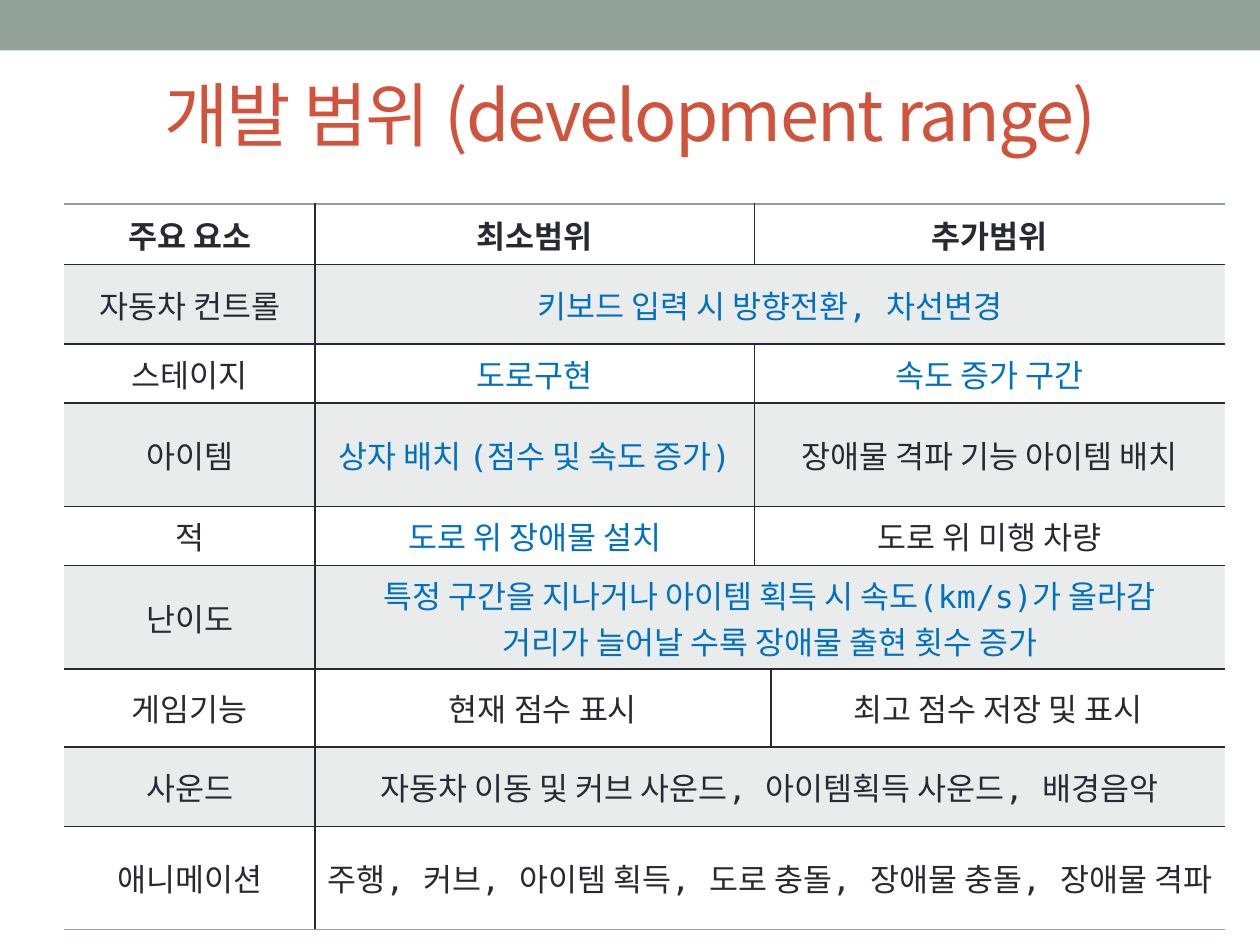
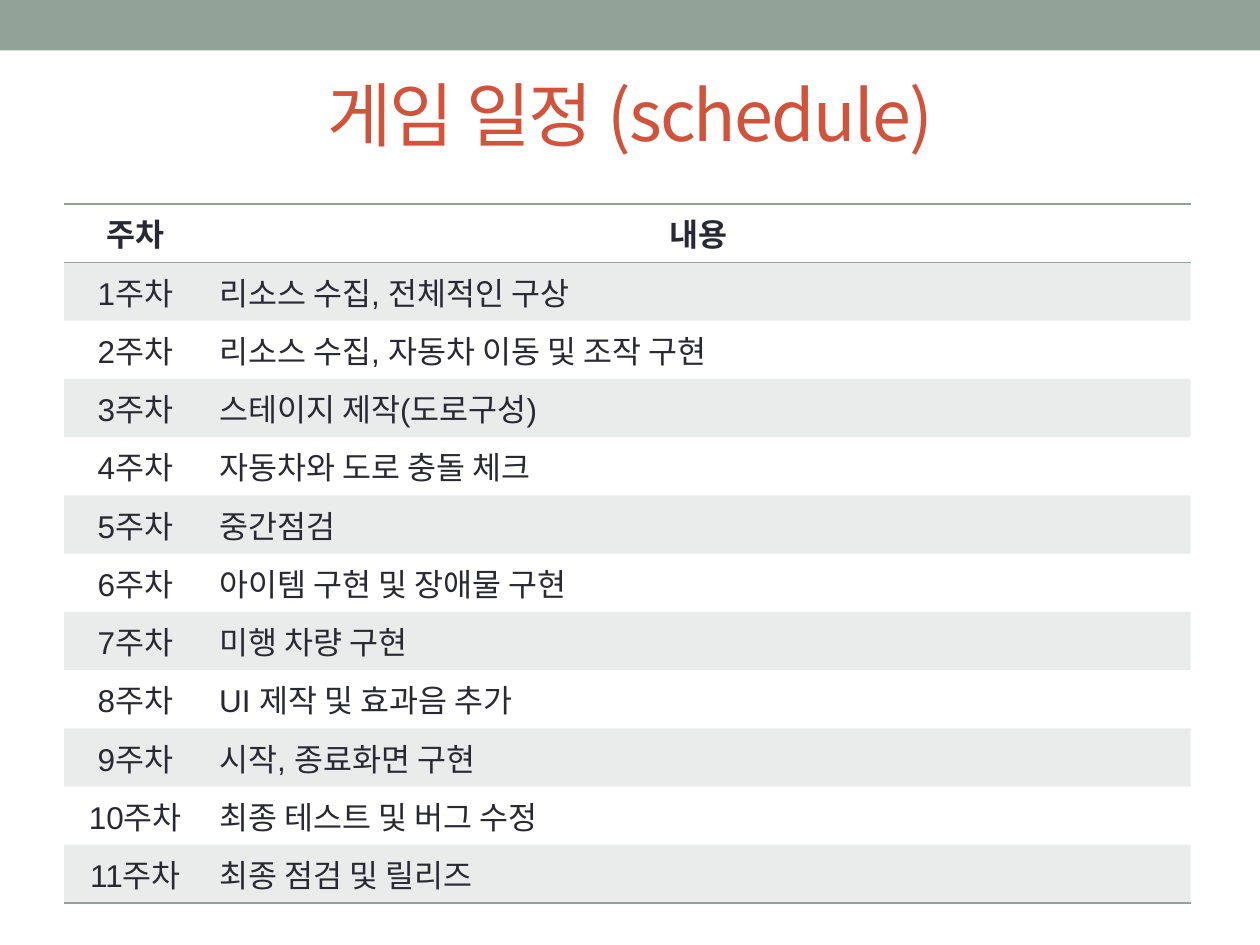
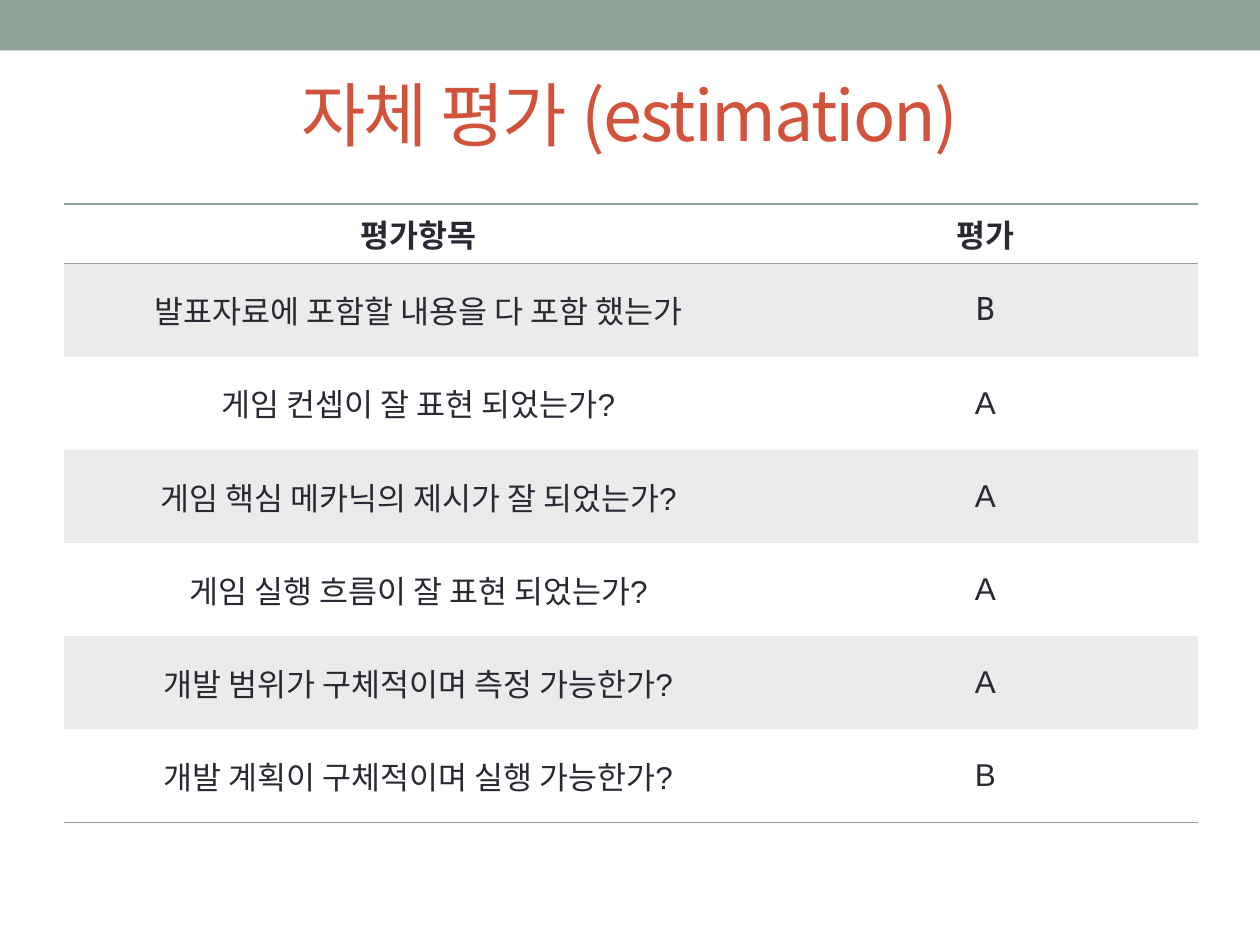
import collections
import pptx
import pptx.dml.color
import pptx.enum.shapes
import pptx.enum.text
import pptx.oxml
import pptx.oxml.ns
import pptx.util
from pptx.util import Inches

qn = pptx.oxml.ns.qn
PP_ALIGN = pptx.enum.text.PP_ALIGN
ANCHOR = pptx.enum.text.MSO_ANCHOR

COLORS = {"sage": "93A299", "title": "D2533C", "ink": "292934", "blue": "0070C0"}
BODY, MONO, KOREAN = "Arial", "DejaVu Sans Mono", "Noto Sans CJK KR"
NO_GRID_STYLE = "{2D5ABB26-0587-4C30-8999-92F81FD0307C}"

Cell = collections.namedtuple("Cell", "text span font color", defaults=(1, BODY, "ink"))


def plain(text, span=1):
    """Return a table cell in the monospaced font."""
    return Cell(text, span, MONO)


def done(text, span=1):
    """Return a table cell marked in blue."""
    return Cell(text, span, MONO, "blue")


SCHEDULE = [
    Cell("리소스 수집, 전체적인 구상"), Cell("리소스 수집, 자동차 이동 및 조작 구현"),
    Cell("스테이지 제작(도로구성)"), Cell("자동차와 도로 충돌 체크"), plain("중간점검"),
    Cell("아이템 구현 및 장애물 구현"), Cell("미행 차량 구현"),
    Cell("UI 제작 및 효과음 추가"), Cell("시작, 종료화면 구현"),
    Cell("최종 테스트 및 버그 수정"), Cell("최종 점검 및 릴리즈"),
]

SLIDES = [
    {
        "title": "개발 범위 (development range)",
        "cols": [1.99, 3.49, 0.13, 3.6],
        "rows": [0.48, 0.63, 0.47, 0.82, 0.47, 0.82, 0.62, 0.63, 0.82],
        "grid": True,
        "cells": [
            [Cell("주요 요소"), Cell("최소범위"), Cell("추가범위", 2)],
            [Cell("자동차 컨트롤"), done("키보드 입력 시 방향전환, 차선변경", 3)],
            [Cell("스테이지"), done("도로구현"), done("속도 증가 구간", 2)],
            [Cell("아이템"), done("상자 배치 (점수 및 속도 증가)"),
             plain("장애물 격파 기능 아이템 배치", 2)],
            [plain("적"), done("도로 위 장애물 설치"), plain("도로 위 미행 차량", 2)],
            [Cell("난이도"), done("특정 구간을 지나거나 아이템 획득 시 속도(km/s)가 올라감\n"
                               "거리가 늘어날 수록 장애물 출현 횟수 증가", 3)],
            [Cell("게임기능"), plain("현재 점수 표시", 2), plain("최고 점수 저장 및 표시")],
            [Cell("사운드"), plain("자동차 이동 및 커브 사운드, 아이템획득 사운드, 배경음악", 3)],
            [Cell("애니메이션"),
             plain("주행, 커브, 아이템 획득, 도로 충돌, 장애물 충돌, 장애물 격파", 3)],
        ],
    },
    {
        "title": "게임 일정 (schedule)",
        "cols": [1.13, 7.81],
        "rows": [5.55 / 12] * 12,
        "anchor": ANCHOR.TOP,
        "left_col": 1,
        "cells": [[Cell("주차"), Cell("내용")]]
        + [[Cell(f"{week}주차"), task] for week, task in enumerate(SCHEDULE, 1)],
    },
    {
        "title": "자체 평가 (estimation)",
        "cols": [5.62, 3.38],
        "rows": [0.47] + [0.74] * 6,
        "cells": [
            [Cell("평가항목"), Cell("평가")],
            [Cell("발표자료에 포함할 내용을 다 포함 했는가"), plain("B")],
            [Cell("게임 컨셉이 잘 표현 되었는가?"), Cell("A")],
            [Cell("게임 핵심 메카닉의 제시가 잘 되었는가?"), Cell("A")],
            [Cell("게임 실행 흐름이 잘 표현 되었는가?"), Cell("A")],
            [Cell("개발 범위가 구체적이며 측정 가능한가?"), Cell("A")],
            [Cell("개발 계획이 구체적이며 실행 가능한가?"), Cell("B")],
        ],
    },
]


def rgb(name):
    """Look up a palette colour."""
    return pptx.dml.color.RGBColor.from_string(COLORS[name])


def write(tf, text, font, size, color, align, bold=False):
    """Fill a text frame with evenly styled paragraphs."""
    tf.text = text
    for p in tf.paragraphs:
        p.alignment = align
        p.font.size, p.font.bold = pptx.util.Pt(size), bold
        p.font.color.rgb, p.font.name = rgb(color), font


def add_frame(slide, title):
    """Draw the top band and the slide title."""
    sp = slide.shapes.add_shape(pptx.enum.shapes.MSO_SHAPE.RECTANGLE,
                                0, 0, Inches(10), Inches(0.4))
    sp.shadow.inherit = False
    sp.fill.solid()
    sp.fill.fore_color.rgb = rgb("sage")
    sp.line.fill.background()
    tf = slide.shapes.add_textbox(0, Inches(0.36), Inches(10), Inches(1.08)).text_frame
    tf.word_wrap = True
    tf.vertical_anchor = ANCHOR.MIDDLE
    write(tf, title, KOREAN, 40, "title", PP_ALIGN.CENTER)
    tf.paragraphs[0].runs[0]._r.get_or_add_rPr().set("spc", "-100")


def set_borders(cell, borders):
    """Give a cell 1 pt borders from a side-to-colour dict; other sides stay clear."""
    tcPr = cell._tc.get_or_add_tcPr()
    for side in "LRTB":
        color = borders.get(side)
        paint = (f'<a:solidFill><a:srgbClr val="{COLORS[color]}"/></a:solidFill>'
                 if color else "<a:noFill/>")
        tcPr.append(pptx.oxml.parse_xml(
            f'<a:ln{side} xmlns:a="http://schemas.openxmlformats.org/drawingml/2006/main"'
            f' w="12700">{paint}</a:ln{side}>'))


def fill_band(cell, shaded):
    """Tint a cell with translucent sage, or leave it clear."""
    if not shaded:
        cell.fill.background()
        return
    cell.fill.solid()
    cell.fill.fore_color.rgb = rgb("sage")
    color = cell._tc.tcPr.find(qn("a:solidFill")).find(qn("a:srgbClr"))
    color.append(color.makeelement(qn("a:alpha"), {"val": "20000"}))


def add_table(slide, data):
    """Build a banded table with merged cells and ruled edges."""
    cols, rows = data["cols"], data["rows"]
    table = slide.shapes.add_table(len(rows), len(cols), Inches(0.51), Inches(1.62),
                                   Inches(sum(cols)), Inches(sum(rows))).table
    table.first_row = table.horz_banding = False
    table._tbl.tblPr.find(qn("a:tableStyleId")).text = NO_GRID_STYLE
    for lines, sizes, side in ((table.columns, cols, "width"), (table.rows, rows, "height")):
        for line, size in zip(lines, sizes):
            setattr(line, side, Inches(size))

    inner = "ink" if data.get("grid") else None
    header_rule = inner or "sage"
    last = len(rows) - 1
    for i, row in enumerate(data["cells"]):
        top = "sage" if i == 0 else header_rule if i == 1 else inner
        bottom = "sage" if i == last else header_rule if i == 0 else inner
        start = 0
        for item in row:
            end = start + item.span
            for j in range(start, end):
                cell = table.cell(i, j)
                set_borders(cell, {"T": top, "B": bottom,
                                   "L": inner if j == start > 0 else None,
                                   "R": inner if j == end - 1 < len(cols) - 1 else None})
                fill_band(cell, i % 2 == 1)
            cell = table.cell(i, start)
            if item.span > 1:
                cell.merge(table.cell(i, end - 1))
            cell.vertical_anchor = data.get("anchor", ANCHOR.MIDDLE)
            is_left = i > 0 and start == data.get("left_col")
            write(cell.text_frame, item.text, item.font, 18, item.color,
                  PP_ALIGN.LEFT if is_left else PP_ALIGN.CENTER, bold=i == 0)
            start = end


prs = pptx.Presentation()
prs.slide_width, prs.slide_height = Inches(10), Inches(7.5)
for data in SLIDES:
    slide = prs.slides.add_slide(prs.slide_layouts[6])
    add_frame(slide, data["title"])
    add_table(slide, data)
prs.save("out.pptx")
